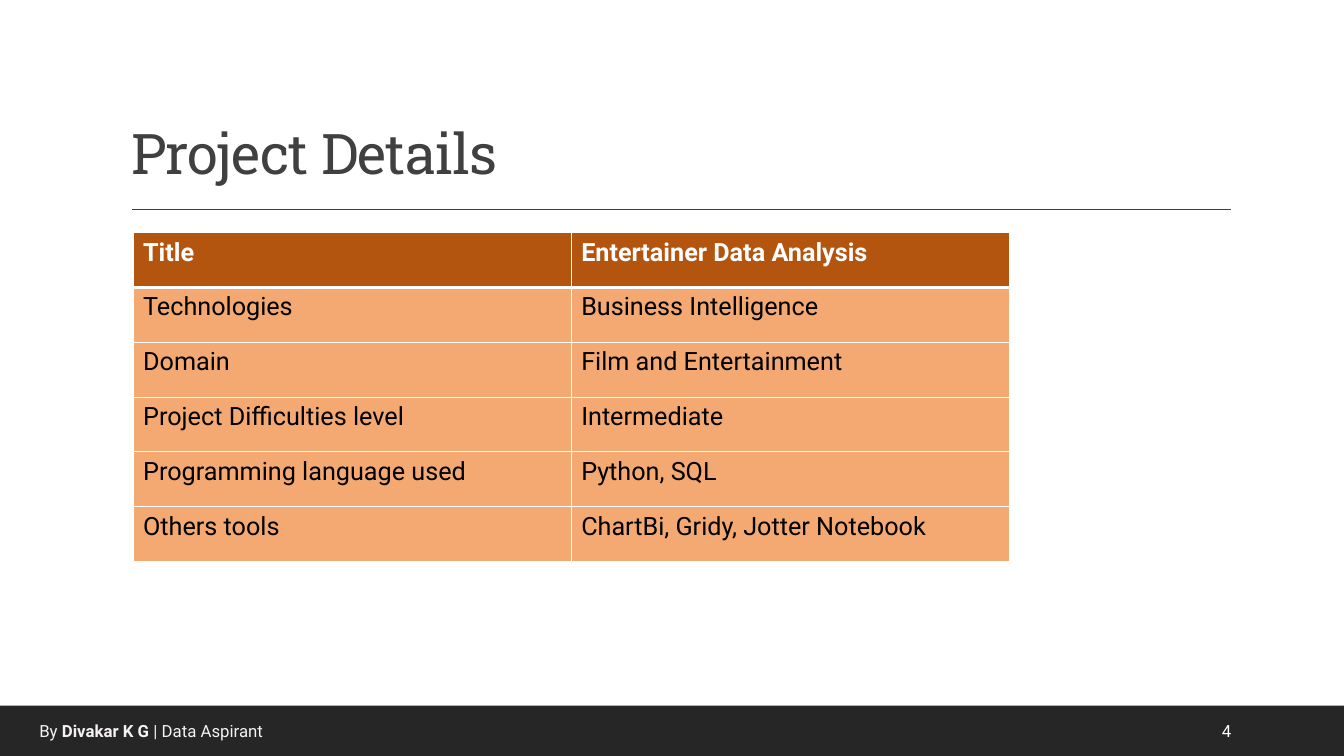
from lxml.etree import SubElement
from pptx import Presentation
from pptx.dml.color import RGBColor
from pptx.enum.shapes import MSO_CONNECTOR, MSO_SHAPE
from pptx.enum.text import MSO_ANCHOR, MSO_AUTO_SIZE, PP_ALIGN
from pptx.oxml.ns import qn
from pptx.util import Inches, Pt

GRAY, DARK, WHITE, BLACK = "404040", "262626", "FFFFFF", "000000"
RUST, PEACH = "B3540F", "F4A973"
ROWS = [
    ("Title", "Entertainer Data Analysis"),
    ("Technologies", "Business Intelligence"),
    ("Domain", "Film and Entertainment"),
    ("Project Difficulties level", "Intermediate"),
    ("Programming language used", "Python, SQL"),
    ("Others tools", "ChartBi, Gridy, Jotter Notebook"),
]


def paint(target, color):
    """Give a fill one solid colour."""
    target.fill.solid()
    target.fill.fore_color.rgb = RGBColor.from_string(color)


def style(par, size, color, face="Roboto", bold=False):
    font = par.font
    font.name, font.size, font.bold = face, Pt(size), bold
    font.color.rgb = RGBColor.from_string(color)


def add_title(slide, text):
    title = slide.shapes.title
    title.left, title.top = Inches(1.2), Inches(0.31)
    title.width, title.height = Inches(11), Inches(1.59)
    frame = title.text_frame
    frame.text = text
    frame.auto_size = MSO_AUTO_SIZE.NONE
    frame.vertical_anchor = MSO_ANCHOR.BOTTOM
    par = frame.paragraphs[0]
    par.alignment, par.line_spacing = PP_ALIGN.LEFT, 0.9
    style(par, 40, GRAY, "Roboto Slab")
    par.runs[0].font._element.set("spc", "-50")


def add_rule(slide):
    y = Inches(2.08)
    rule = slide.shapes.add_connector(
        MSO_CONNECTOR.STRAIGHT, Inches(1.31), y, Inches(12.21), y)
    rule.line.color.rgb = RGBColor.from_string(GRAY)
    rule.line.width = Pt(1)
    SubElement(rule._element.spPr, qn("a:effectLst"))


def add_edge(cell, side, width):
    edge = SubElement(cell._tc.get_or_add_tcPr(), qn(f"a:ln{side}"),
                      w=str(Pt(width)))
    fill = SubElement(edge, qn("a:solidFill"))
    SubElement(fill, qn("a:srgbClr"), val=WHITE)


def add_grid(slide, rows):
    grid = slide.shapes.add_table(
        len(rows), 2, Inches(1.32), Inches(2.31),
        Inches(8.69), Inches(3.26)).table
    for r, texts in enumerate(rows):
        head = r == 0
        for c, text in enumerate(texts):
            cell = grid.cell(r, c)
            cell.text = text
            for side in "LRTB":
                thick = (side == "B" and head) or (side == "T" and r == 1)
                add_edge(cell, side, 3 if thick else 1)
            paint(cell, RUST if head else PEACH)
            style(cell.text_frame.paragraphs[0], 18,
                  WHITE if head else BLACK, bold=head)


def add_footer(slide):
    bar = slide.shapes.add_shape(
        MSO_SHAPE.RECTANGLE, 0, Inches(7), Inches(13.33), Inches(0.5))
    bar.shadow.inherit = False
    bar.line.fill.background()
    paint(bar, DARK)
    frame = bar.text_frame
    frame.margin_left = Inches(0.39)
    frame.vertical_anchor = MSO_ANCHOR.MIDDLE
    par = frame.paragraphs[0]
    par.alignment = PP_ALIGN.LEFT
    style(par, 12, "F5F2F1")
    for text, bold in (("By ", False), ("Divakar K G ", True),
                       ("| Data Aspirant", False)):
        run = par.add_run()
        run.text, run.font.bold = text, bold


def add_number(slide, text):
    box = slide.shapes.add_textbox(
        Inches(12.02), Inches(7.05), Inches(0.85), Inches(0.4))
    frame = box.text_frame
    frame.word_wrap = True
    frame.vertical_anchor = MSO_ANCHOR.MIDDLE
    frame.text = text
    style(frame.paragraphs[0], 12, WHITE)


def main():
    deck = Presentation()
    deck.slide_width, deck.slide_height = Inches(13.33), Inches(7.5)
    slide = deck.slides.add_slide(deck.slide_layouts[5])
    paint(slide.background, WHITE)
    add_title(slide, "Project Details")
    add_rule(slide)
    add_grid(slide, ROWS)
    add_footer(slide)
    add_number(slide, "4")
    deck.save("out.pptx")


if __name__ == "__main__":
    main()
